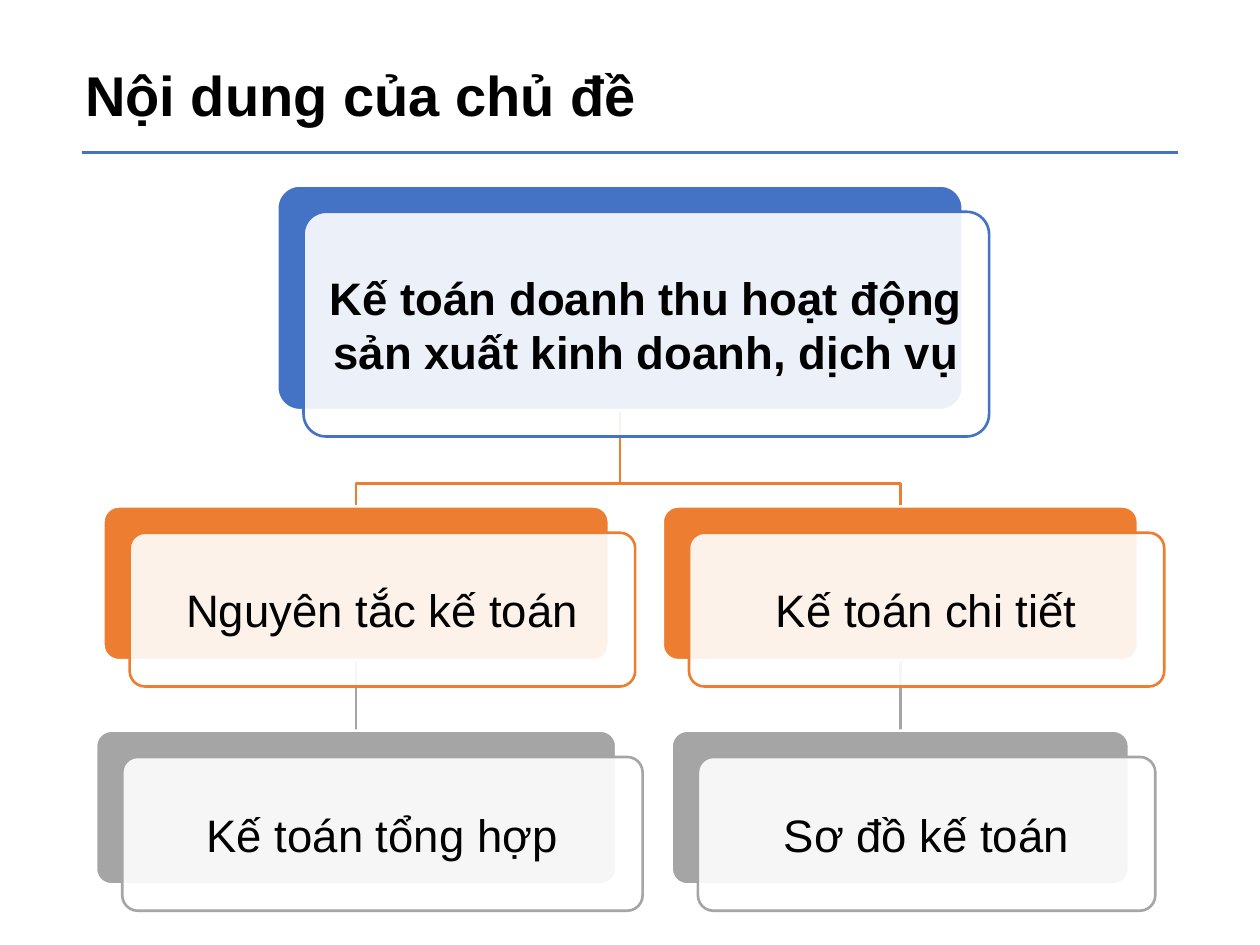
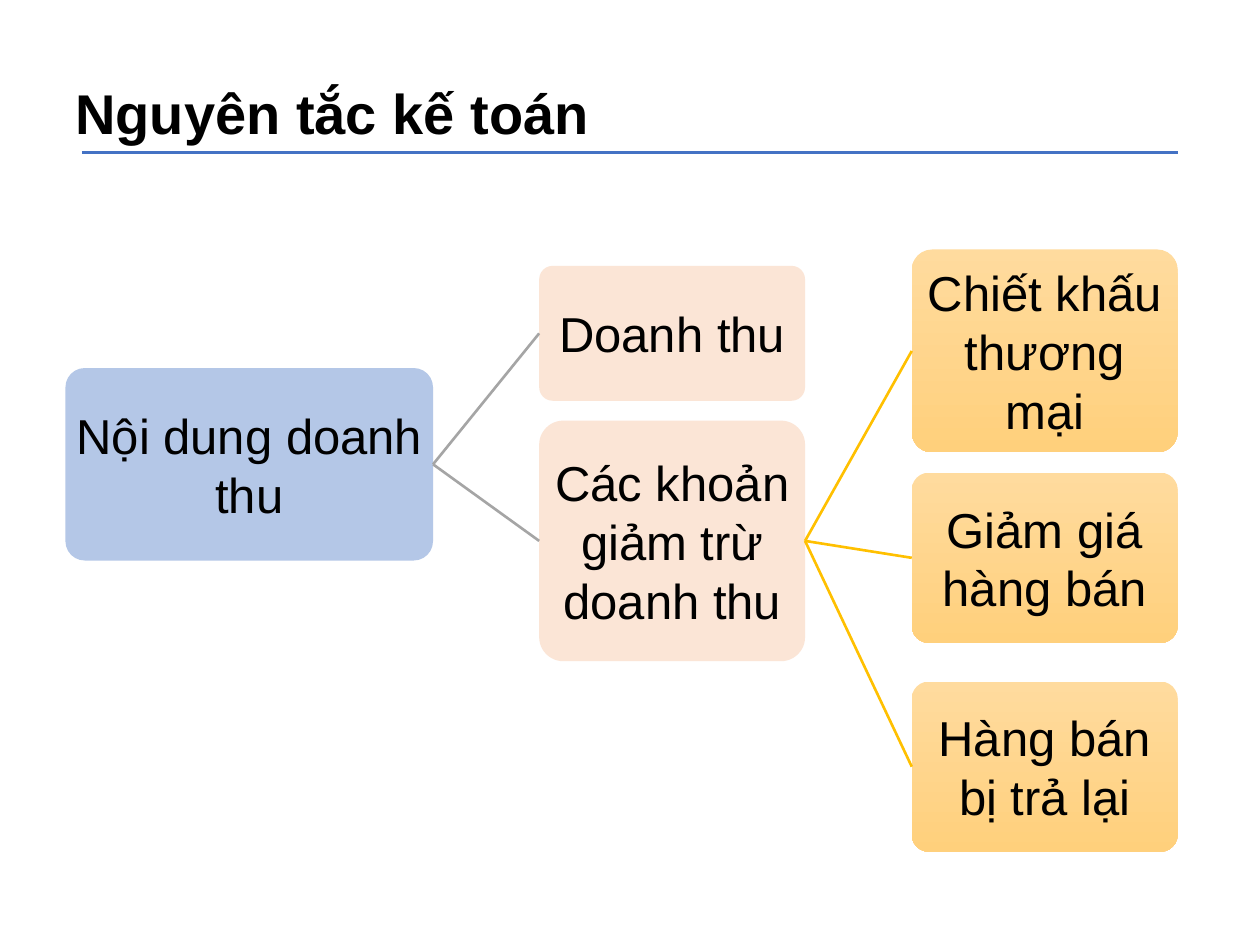
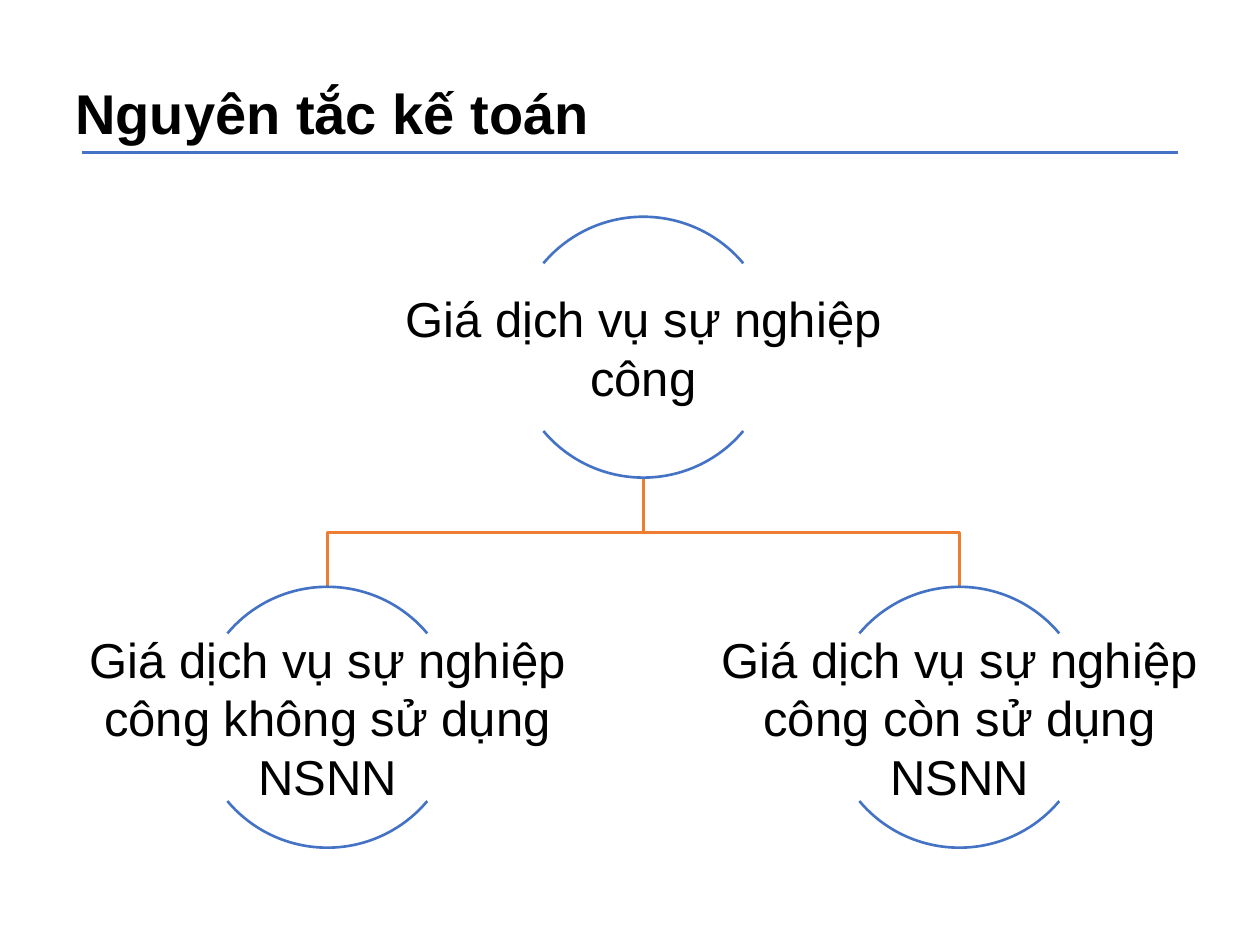
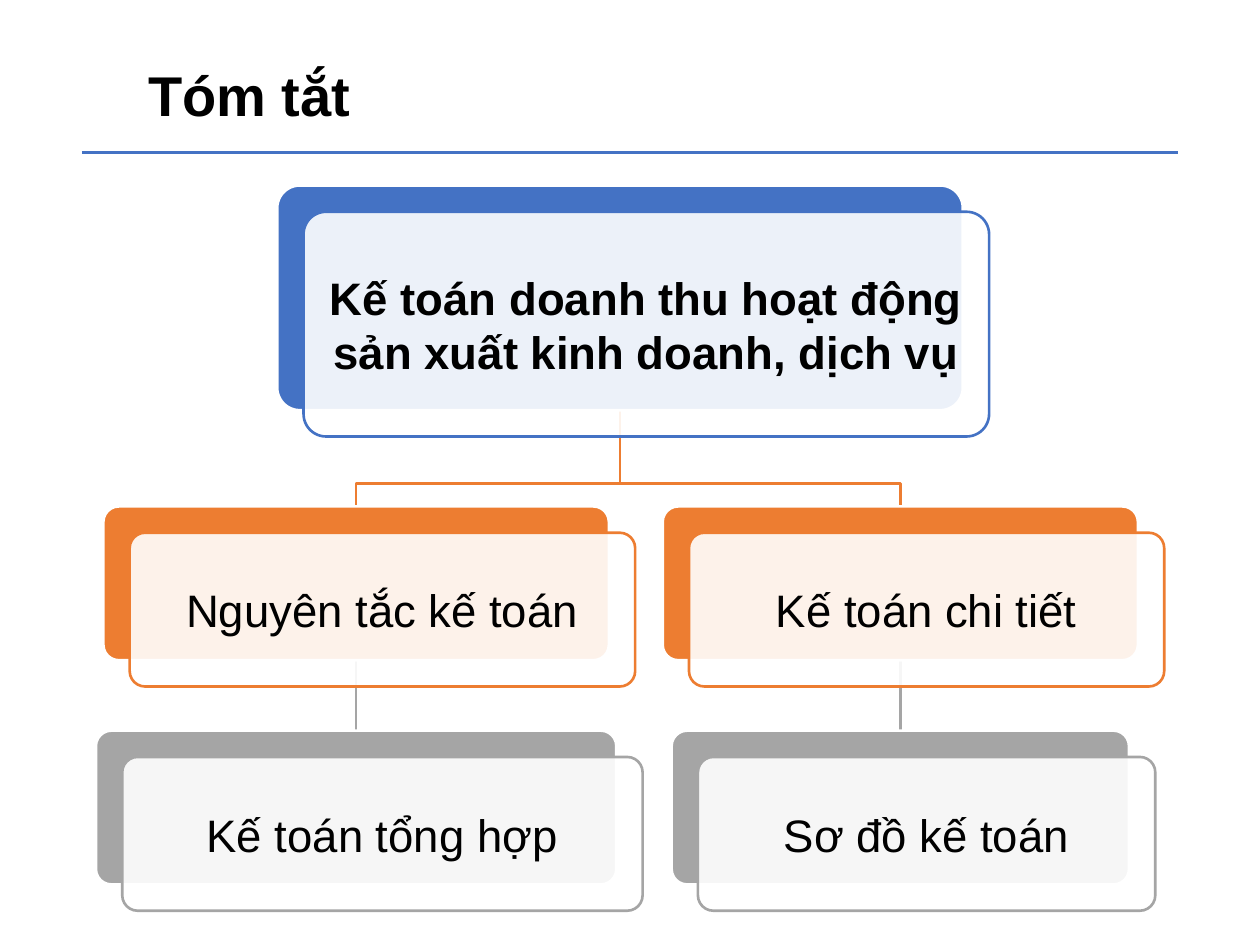
import lxml.etree
import pptx
import pptx.dml.color
import pptx.enum.shapes
import pptx.enum.text
import pptx.oxml.ns
import pptx.util

Cm, Pt = pptx.util.Cm, pptx.util.Pt
qn = pptx.oxml.ns.qn
SHAPES = pptx.enum.shapes.MSO_SHAPE

FONT = "Arial"
BLACK, WHITE, BLUE, ORANGE, GREY, GOLD = "000000", "FFFFFF", "4472C4", "ED7D31", "A5A5A5", "FFC000"
PALE_BLUE, PALE_ORANGE, PALE_GOLD = "B4C7E7", "FBE5D6", ("FFDB9E", "FFD07C")
LINE_WIDTH = 1.5
CORNER = 0.1
RULE = ((1.65, 3.07), (23.75, 3.07))
TITLE_HEIGHT = 1.63
FIRST_LINE = 1.27

# Title: text, left, top, width, first-line indent
TOPIC_TITLE = ("Nội dung của chủ đề", 1.47, 1.09, 11.91, 0)
SUMMARY_TITLE = ("Tóm tắt", 1.47, 1.09, 11.91, FIRST_LINE)
PRINCIPLES_TITLE = ("Nguyên tắc kế toán", 0, 1.45, 12.7, FIRST_LINE)

# Cards: text, width; each column has a centre and two cards, one per row
TOPIC = ("Kế toán doanh thu hoạt động sản xuất kinh doanh, dịch vụ", 13.82)
TOPIC_CENTRE, TOPIC_TOP, TOPIC_HEIGHT = 12.5, 3.74, 4.53
CARD_COLUMNS = [
    (7.18, [("Nguyên tắc kế toán", 10.19), ("Kế toán tổng hợp", 10.49)]),
    (18.15, [("Kế toán chi tiết", 9.58), ("Sơ đồ kế toán", 9.22)]),
]
CARD_ROWS = [(10.21, ORANGE), (14.73, GREY)]
CARD_HEIGHT, CARD_OFFSET, CARD_ELBOW = 3.1, 0.53, 9.75

# Revenue tree: columns of left, width, fill, link colour, boxes (text, top, height).
# The last box of a column is the parent of the next column.
REVENUE_COLUMNS = [
    (1.32, 7.41, PALE_BLUE, None, [("Nội dung doanh thu", 7.42, 3.88)]),
    (10.87, 5.36, PALE_ORANGE, GREY, [
        ("Doanh thu", 5.36, 2.72),
        ("Các khoản giảm trừ doanh thu", 8.48, 4.85),
    ]),
    (18.38, 5.36, PALE_GOLD, GOLD, [
        ("Chiết khấu thương mại", 5.03, 4.09),
        ("Giảm giá hàng bán", 9.53, 3.43),
        ("Hàng bán bị trả lại", 13.74, 3.43),
    ]),
]

# Service prices: text, centre, top
SERVICE = ("Giá dịch vụ sự nghiệp công", 12.97, 4.37)
SERVICE_KINDS = [
    ("Giá dịch vụ sự nghiệp công không sử dụng NSNN", 6.6, 11.83),
    ("Giá dịch vụ sự nghiệp công còn sử dụng NSNN", 19.34, 11.83),
]
CIRCLE, SERVICE_TEXT_HEIGHT = 5.26, 3.36
ARC_ANGLES = [(220, 320), (40, 140)]


def rgb(colour):
    return pptx.dml.color.RGBColor.from_string(colour)


def set_line(shape, colour):
    shape.line.color.rgb = rgb(colour)
    shape.line.width = Pt(LINE_WIDTH)


def add_text(slide, text, left, top, width, height, size, inset=None, bold=False):
    """Add a text box; with an inset it is centred both ways."""
    box = slide.shapes.add_textbox(Cm(left), Cm(top), Cm(width), Cm(height))
    frame = box.text_frame
    frame.word_wrap = True
    paragraph = frame.paragraphs[0]
    paragraph.text = text
    paragraph.font.name, paragraph.font.size, paragraph.font.bold = FONT, Pt(size), bold
    paragraph.font.color.rgb = rgb(BLACK)
    if inset is not None:
        frame.margin_left = frame.margin_right = frame.margin_top = frame.margin_bottom = Cm(inset)
        frame.vertical_anchor = pptx.enum.text.MSO_ANCHOR.MIDDLE
        paragraph.alignment = pptx.enum.text.PP_ALIGN.CENTER
    return box


def add_title(slide, text, left, top, width, indent):
    box = add_text(slide, text, left, top, width, TITLE_HEIGHT, 32, bold=True)
    box.text_frame.auto_size = pptx.enum.text.MSO_AUTO_SIZE.SHAPE_TO_FIT_TEXT
    if indent:
        properties = box.text_frame.paragraphs[0].font and box.element.find(".//" + qn("a:pPr"))
        properties.set("indent", str(Cm(indent)))


def add_round_box(slide, left, top, width, height, fill, line=None, opacity=None):
    """Add a rounded box; a pair of fill colours makes a top-down gradient."""
    shape = slide.shapes.add_shape(
        SHAPES.ROUNDED_RECTANGLE, Cm(left), Cm(top), Cm(width), Cm(height))
    shape.shadow.inherit = False
    shape.adjustments[0] = CORNER
    if isinstance(fill, tuple):
        shape.fill.gradient()
        shape.fill.gradient_angle = 270
        for stop, colour in zip(shape.fill.gradient_stops, fill):
            stop.color.rgb = rgb(colour)
    else:
        shape.fill.solid()
        shape.fill.fore_color.rgb = rgb(fill)
    if opacity:
        colour_element = shape.element.find(".//" + qn("a:srgbClr"))
        lxml.etree.SubElement(colour_element, qn("a:alpha")).set("val", str(opacity * 1000))
    if line:
        set_line(shape, line)
    else:
        shape.line.fill.background()
    return shape


def add_round_box_text(slide, text, left, top, width, height, size, inset, bold=False):
    """Add text in the part of a rounded box that its corners leave free."""
    corner = height * CORNER * 0.29
    add_text(slide, text, left + corner, top + corner, width - 2 * corner,
             height - 2 * corner, size, inset, bold)


def add_line(slide, start, end, colour):
    line = slide.shapes.add_connector(
        pptx.enum.shapes.MSO_CONNECTOR.STRAIGHT, *map(Cm, start + end))
    set_line(line, colour)
    lxml.etree.SubElement(line.element.spPr, qn("a:effectLst"))
    return line


def add_elbow(slide, start, end, middle):
    """Link two points down, across at the middle height, and down again."""
    points = [start, (start[0], middle), (end[0], middle), end]
    points = [(Cm(x), Cm(y)) for x, y in points]
    builder = slide.shapes.build_freeform(*points[0])
    builder.add_line_segments(points[1:], close=False)
    elbow = builder.convert_to_shape()
    elbow.shadow.inherit = False
    elbow.fill.background()
    set_line(elbow, ORANGE)


def add_card(slide, text, centre, top, width, height, colour, bold=False):
    """Add a coloured box with a shifted, nearly opaque white box on it."""
    left = centre - width / 2
    add_round_box(slide, left, top, width, height, colour, WHITE)
    front = (left + CARD_OFFSET, top + CARD_OFFSET, width, height)
    add_round_box(slide, *front, WHITE, colour, opacity=90)
    add_round_box_text(slide, text, *front, 26, 0.28, bold)


def draw_topic_cards(slide):
    (first_top, _), (second_top, second_colour) = CARD_ROWS
    topic_bottom = (TOPIC_CENTRE, TOPIC_TOP + TOPIC_HEIGHT)
    for centre, _ in reversed(CARD_COLUMNS):
        add_line(slide, (centre, first_top + CARD_HEIGHT), (centre, second_top), second_colour)
        add_elbow(slide, topic_bottom, (centre, first_top), CARD_ELBOW)
    text, width = TOPIC
    add_card(slide, text, TOPIC_CENTRE, TOPIC_TOP, width, TOPIC_HEIGHT, BLUE, bold=True)
    for centre, cards in CARD_COLUMNS:
        for (text, width), (top, colour) in zip(cards, CARD_ROWS):
            add_card(slide, text, centre, top, width, CARD_HEIGHT, colour)


def draw_revenue_tree(slide):
    parent = None
    for left, width, fill, link_colour, boxes in REVENUE_COLUMNS:
        for text, top, height in boxes:
            shape = add_round_box(slide, left, top, width, height, fill)
            add_round_box_text(slide, text, left, top, width, height, 28, 0.05)
            if parent:
                link = add_line(slide, (0, 0), (left, top), link_colour)
                link.begin_connect(parent, 3)
                link.end_connect(shape, 1)
        parent = shape


def draw_service_prices(slide):
    _, root_centre, root_top = SERVICE
    root_bottom = root_top + CIRCLE
    for _, centre, top in reversed(SERVICE_KINDS):
        add_elbow(slide, (root_centre, root_bottom), (centre, top), (root_bottom + top) / 2)
    for text, centre, top in [SERVICE] + SERVICE_KINDS:
        for angles in ARC_ANGLES:
            arc = slide.shapes.add_shape(
                SHAPES.ARC, Cm(centre - CIRCLE / 2), Cm(top), Cm(CIRCLE), Cm(CIRCLE))
            arc.shadow.inherit = False
            arc.fill.background()
            set_line(arc, BLUE)
            for index, angle in enumerate(angles):
                arc.adjustments[index] = angle * 0.6
        add_text(slide, text, centre - CIRCLE, top + (CIRCLE - SERVICE_TEXT_HEIGHT) / 2,
                 2 * CIRCLE, SERVICE_TEXT_HEIGHT, 28, 0.05)


SLIDES = [
    (TOPIC_TITLE, draw_topic_cards),
    (PRINCIPLES_TITLE, draw_revenue_tree),
    (PRINCIPLES_TITLE, draw_service_prices),
    (SUMMARY_TITLE, draw_topic_cards),
]


def main():
    presentation = pptx.Presentation()
    presentation.slide_width, presentation.slide_height = Cm(25.4), Cm(19.05)
    layout = presentation.slide_layouts[6]
    for title, draw in SLIDES:
        slide = presentation.slides.add_slide(layout)
        add_title(slide, *title)
        draw(slide)
    # The rule under the titles belongs to the layout that all slides share
    rule = add_line(slide, *RULE, BLUE)
    layout.shapes.element.append(rule.element)
    presentation.save("out.pptx")


if __name__ == "__main__":
    main()
